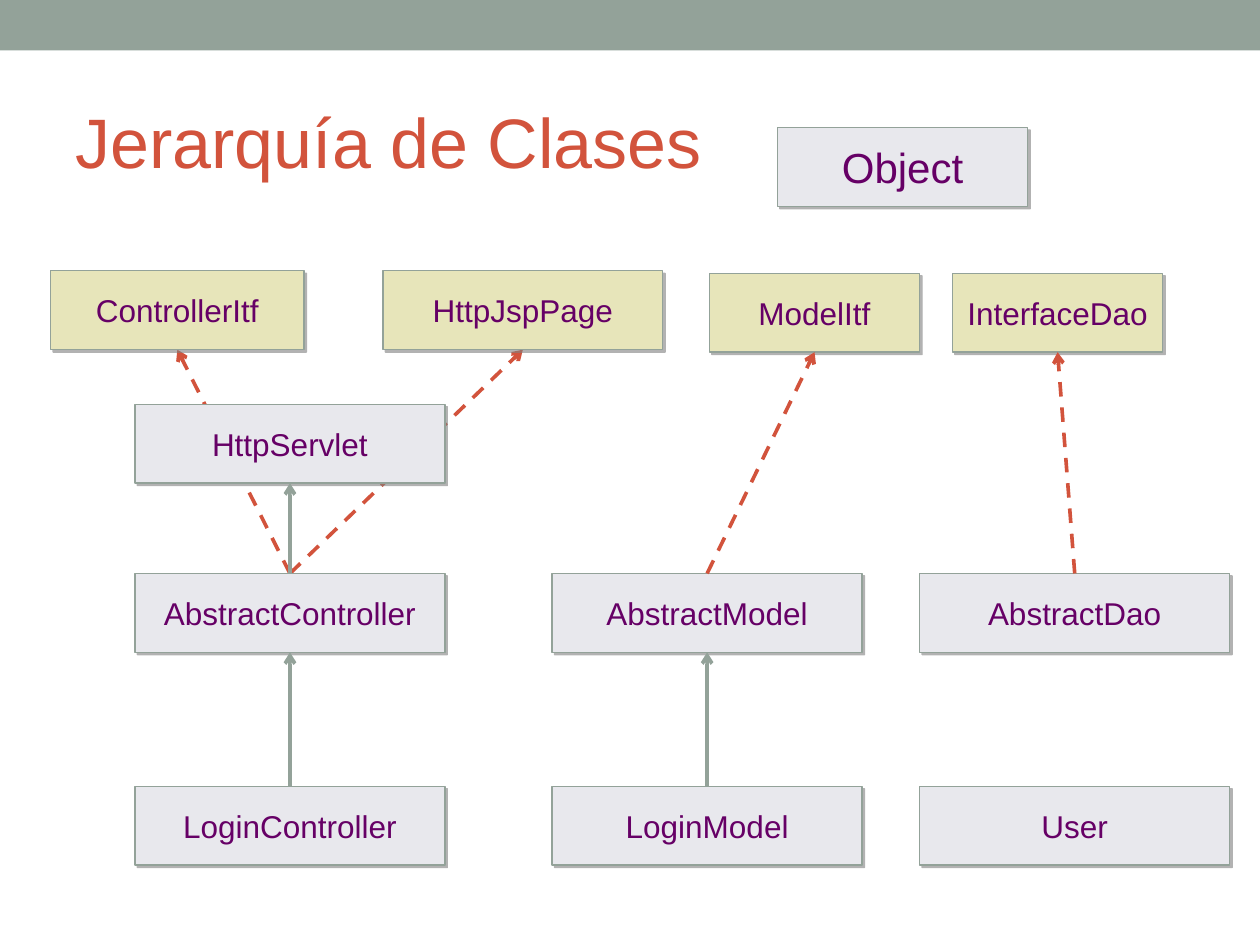
from dataclasses import dataclass

from lxml.etree import SubElement
from pptx import Presentation
from pptx.dml.color import RGBColor
from pptx.enum.dml import MSO_LINE
from pptx.enum.shapes import MSO_CONNECTOR, MSO_SHAPE
from pptx.enum.text import MSO_ANCHOR, PP_ALIGN
from pptx.oxml.ns import qn
from pptx.util import Cm, Pt


@dataclass(frozen=True)
class Theme:
    font: str = "Arial"
    sage: str = "93A299"
    red: str = "D2533C"
    plum: str = "660066"
    gray: str = "E8E8ED"
    sand: str = "E7E5BA"
    shade: str = "808080"
    head: int = 40
    root: int = 24
    body: int = 18
    edge: float = 0.75
    link: float = 2.07


THEME = Theme()
TOP, BOTTOM = 0, 2
WIDTH, HEIGHT = 6.25, 1.59
COLS = (2.72, 11.13, 18.54)
ROWS = (8.15, 11.56, 15.85)

CLASSES = (
    ("HttpServlet", 0, 0),
    ("AbstractController", 0, 1),
    ("AbstractModel", 1, 1),
    ("AbstractDao", 2, 1),
    ("LoginController", 0, 2),
    ("LoginModel", 1, 2),
    ("User", 2, 2),
)
FACES = (
    ("ControllerItf", 1.02, 5.46, 5.11),
    ("HttpJspPage", 7.72, 5.46, 5.64),
    ("ModelItf", 14.3, 5.51, 4.24),
    ("InterfaceDao", 19.2, 5.51, 4.24),
)
EXTENDS = (
    ("AbstractController", "HttpServlet"),
    ("LoginController", "AbstractController"),
    ("LoginModel", "AbstractModel"),
)
REALIZES = (
    ("AbstractController", "ControllerItf"),
    ("AbstractController", "HttpJspPage"),
    ("AbstractModel", "ModelItf"),
    ("AbstractDao", "InterfaceDao"),
)


def paint(color):
    return RGBColor.from_string(color)


def write(shape, text, size=THEME.body, color=THEME.plum, align=PP_ALIGN.CENTER):
    frame = shape.text_frame
    frame.text = text
    frame.word_wrap = True
    frame.vertical_anchor = MSO_ANCHOR.MIDDLE
    para = frame.paragraphs[0]
    para.alignment = align
    para.font.name = THEME.font
    para.font.size = Pt(size)
    para.font.color.rgb = paint(color)


def block(slide, x, y, w, h, fill):
    shape = slide.shapes.add_shape(MSO_SHAPE.RECTANGLE, Cm(x), Cm(y), Cm(w), Cm(h))
    shape.shadow.inherit = False
    shape.fill.solid()
    shape.fill.fore_color.rgb = paint(fill)
    shape.line.fill.background()
    return shape


def cast(shape):
    effects = shape.element.spPr.find(qn("a:effectLst"))
    shadow = SubElement(effects, qn("a:outerShdw"), blurRad="0",
                        dist=str(Pt(2)), dir="2700000", algn="ctr", rotWithShape="0")
    color = SubElement(shadow, qn("a:srgbClr"), val=THEME.shade)
    SubElement(color, qn("a:alpha"), val="60000")


def box(slide, text, x, y, w=WIDTH, fill=THEME.gray, size=THEME.body):
    shape = block(slide, x, y, w, HEIGHT, fill)
    shape.line.color.rgb = paint(THEME.sage)
    shape.line.width = Pt(THEME.edge)
    cast(shape)
    write(shape, text, size=size)
    return shape


def arrow(slide, child, parent, color, dash=None):
    link = slide.shapes.add_connector(MSO_CONNECTOR.STRAIGHT, 0, 0, 0, 0)
    link.begin_connect(child, TOP)
    link.end_connect(parent, BOTTOM)
    link.line.color.rgb = paint(color)
    link.line.width = Pt(THEME.link)
    link.line.dash_style = dash
    SubElement(link.line._get_or_add_ln(), qn("a:tailEnd"), type="arrow")
    SubElement(link.element.spPr, qn("a:effectLst"))
    return link


def heading(slide, text):
    title = slide.shapes.title
    title.left, title.top = Cm(1.27), Cm(1.47)
    title.width, title.height = Cm(22.86), Cm(2.74)
    write(title, text, size=THEME.head, color=THEME.red, align=PP_ALIGN.LEFT)
    return title


def main():
    deck = Presentation()
    deck.slide_width, deck.slide_height = Cm(25.4), Cm(19.05)
    slide = deck.slides.add_slide(deck.slide_layouts[5])
    block(slide, 0, 0, 25.4, 1.02, THEME.sage)
    title = heading(slide, "Jerarquía de Clases")

    box(slide, "Object", 15.67, 2.57, w=5.05, size=THEME.root)
    nodes = {name: box(slide, name, COLS[col], ROWS[row])
             for name, col, row in CLASSES}
    for name, x, y, w in FACES:
        nodes[name] = box(slide, name, x, y, w=w, fill=THEME.sand)

    for child, parent in EXTENDS:
        arrow(slide, nodes[child], nodes[parent], THEME.sage)
    for child, parent in REALIZES:
        link = arrow(slide, nodes[child], nodes[parent], THEME.red, MSO_LINE.DASH)
        if child == "AbstractController":
            title.element.addprevious(link.element)

    deck.save("out.pptx")


if __name__ == "__main__":
    main()
